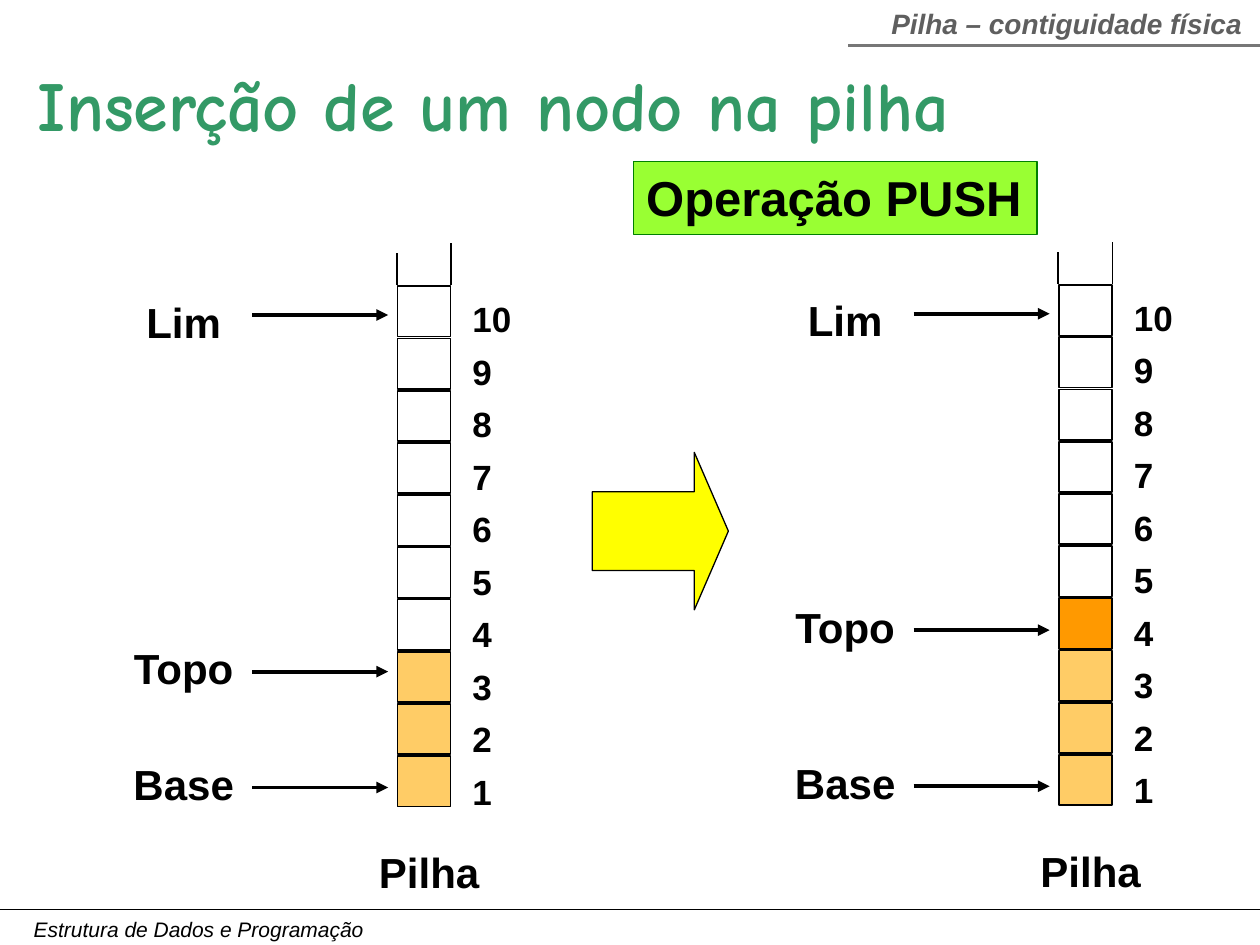
from pptx import Presentation
from pptx.dml.color import RGBColor
from pptx.enum.shapes import MSO_CONNECTOR, MSO_SHAPE
from pptx.enum.text import MSO_ANCHOR, MSO_AUTO_SIZE, PP_ALIGN
from pptx.oxml.ns import qn
from pptx.util import Pt
from lxml import etree

RECT, RIGHT_ARROW = MSO_SHAPE.RECTANGLE, MSO_SHAPE.RIGHT_ARROW
STRAIGHT = MSO_CONNECTOR.STRAIGHT
TOP, MIDDLE = MSO_ANCHOR.TOP, MSO_ANCHOR.MIDDLE
GROW, FIXED = MSO_AUTO_SIZE.SHAPE_TO_FIT_TEXT, MSO_AUTO_SIZE.NONE
LEFT, CENTER = PP_ALIGN.LEFT, PP_ALIGN.CENTER

COLORS = {
    "black": "000000", "empty": "FFFFFF", "used": "FFCC66", "pushed": "FF9900",
    "arrow": "FFFF00", "badge": "99FF33", "badge_line": "008000",
    "title": "339966", "header": "5F5F5F", "header_line": "777777",
}
SLOTS = 10
CELL_W, CELL_H, CELL_STEP = 30.2, 28.8, 29.84


def rgb(name):
    return RGBColor.from_string(COLORS[name])


def write(sp, lines, size, color="black", font="Arial", bold=True, italic=False,
          align=LEFT, anchor=TOP, fit=GROW, spacing=None):
    tf = sp.text_frame
    tf.text = "\n".join(lines)
    tf.word_wrap = False
    tf.auto_size = fit
    tf.vertical_anchor = anchor
    for p in tf.paragraphs:
        p.alignment = align
        if spacing:
            p.line_spacing = spacing
        p.font.name, p.font.size = font, Pt(size)
        p.font.bold, p.font.italic = bold, italic
        p.font.color.rgb = rgb(color)


def add_text(s, x, y, w, h, lines, size, **style):
    sp = s.shapes.add_textbox(Pt(x), Pt(y), Pt(w), Pt(h))
    write(sp, lines, size, **style)


def add_shape(s, kind, x, y, w, h, fill, line="black", width=1):
    sp = s.shapes.add_shape(kind, Pt(x), Pt(y), Pt(w), Pt(h))
    sp.shadow.inherit = False
    sp.fill.solid()
    sp.fill.fore_color.rgb = rgb(fill)
    sp.line.color.rgb = rgb(line)
    sp.line.width = Pt(width)
    return sp


def add_line(s, x1, y1, x2, y2, width, color="black", arrow=False):
    cx = s.shapes.add_connector(STRAIGHT, Pt(x1), Pt(y1), Pt(x2), Pt(y2))
    cx.line.color.rgb = rgb(color)
    cx.line.width = Pt(width)
    if arrow:
        etree.SubElement(cx.line._get_or_add_ln(), qn("a:tailEnd"), type="triangle")
    etree.SubElement(cx._element.spPr, qn("a:effectLst"))


def add_stack(s, x, y, fills, top_y):
    """Draw a stack; fills run from slot 1 upwards, top_y places the Topo pointer."""
    cell_x = x + 137.2
    for i in range(SLOTS):
        fill = fills[i] if i < len(fills) else "empty"
        cell_y = y + 24.6 + (SLOTS - 1 - i) * CELL_STEP
        add_shape(s, RECT, cell_x, cell_y, CELL_W, CELL_H, fill)

    add_line(s, x + 136.8, y + 23.8, x + 136.8, y + 5.8, 1)
    add_line(s, x + 167.8, y + 23.8, x + 167.8, y, 1)

    for label, label_y, arrow_y in (("Lim", 28.8, 41), ("Topo", top_y, top_y + 18),
                                    ("Base", 293, 311)):
        add_text(s, x, y + label_y, 30, 31.7, [label], 24,
                 align=CENTER, anchor=MIDDLE, fit=FIXED)
        add_line(s, x + 54, y + arrow_y, x + 131.8, y + arrow_y, 2.25, arrow=True)

    add_text(s, x + 119.5, y + 341.3, 72, 36, ["Pilha"], 24)
    numbers = [str(n) for n in range(SLOTS, 0, -1)]
    add_text(s, x + 172.8, y + 21.6, 36.7, 307.4, numbers, 20, spacing=1.25)


def add_title(s, x, y, w, h):
    title = s.shapes.title
    title.left, title.top, title.width, title.height = Pt(x), Pt(y), Pt(w), Pt(h)
    write(title, ["Inserção de um nodo na pilha"], 40, color="title", font="Comic Neue")


def add_header(s, x, y, w):
    add_line(s, x, y + 26, x + w, y + 26, 2.25, color="header_line")
    add_text(s, x + 17.3, y, 215.3, 26.6, ["Pilha – contiguidade física"], 16,
             color="header", italic=True, align=CENTER)


def add_footer(s, x, y, w):
    add_line(s, x, y, x + w, y, 0.75)
    add_text(s, x + 12.2, y + 0.7, 204.5, 21.6, ["Estrutura de Dados e Programação"],
             12, bold=False, italic=True)


def add_operation(s, x, y):
    arrow = add_shape(s, RIGHT_ARROW, x, y + 166.3, 77.8, 90, "arrow", width=0.75)
    arrow.adjustments[0], arrow.adjustments[1] = 0.5, 0.25 * 90 / 90
    badge = add_shape(s, RECT, x + 23.8, y, 230.4, 41.8, "badge", "badge_line", 0.75)
    write(badge, ["Operação PUSH"], 28)


def main():
    prs = Presentation()
    prs.slide_width, prs.slide_height = Pt(720), Pt(540)
    s = prs.slides.add_slide(prs.slide_layouts[5])
    add_footer(s, 0, 519.7, 720)
    add_stack(s, 90, 139, ["used"] * 3, 226.8)
    add_stack(s, 468, 138.3, ["used"] * 3 + ["pushed"], 203.8)
    add_operation(s, 338.4, 92.2)
    add_title(s, 14.4, 31.7, 585.4, 55.4)
    add_header(s, 484.6, 0, 235.4)
    prs.save("out.pptx")


if __name__ == "__main__":
    main()
